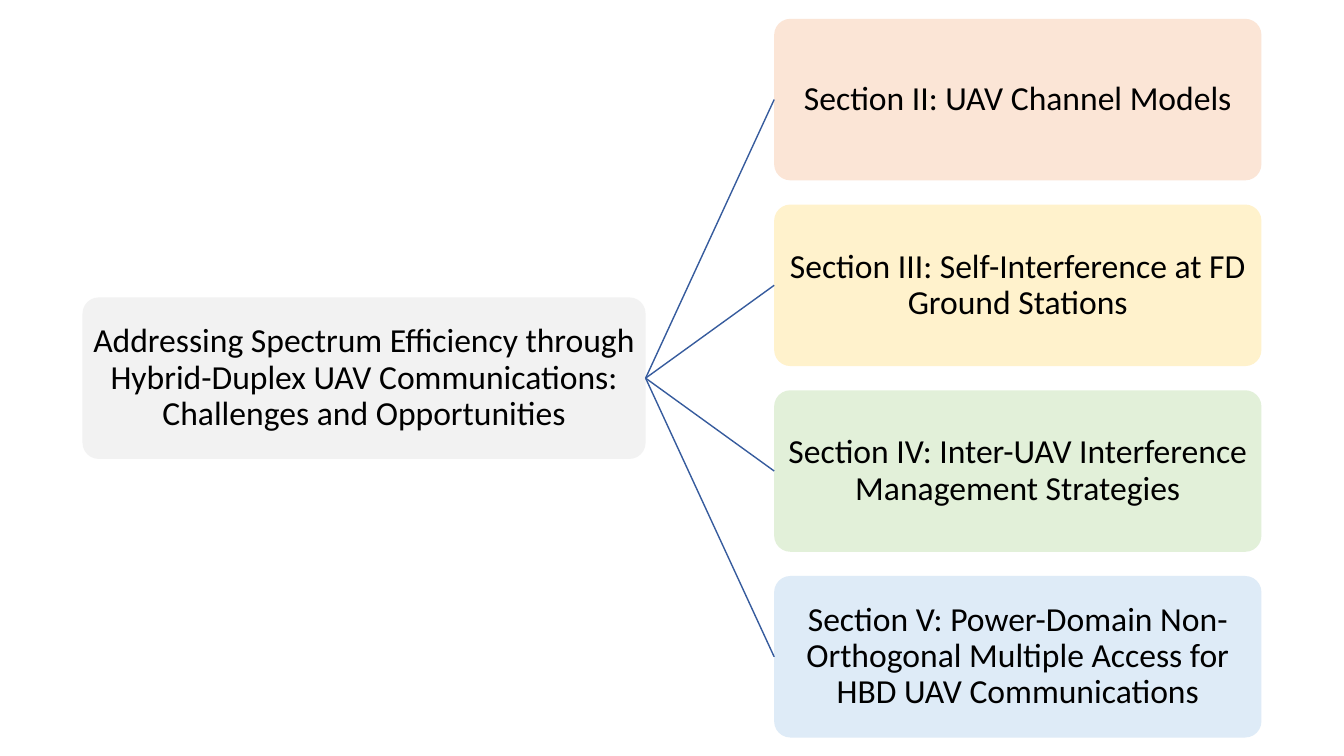
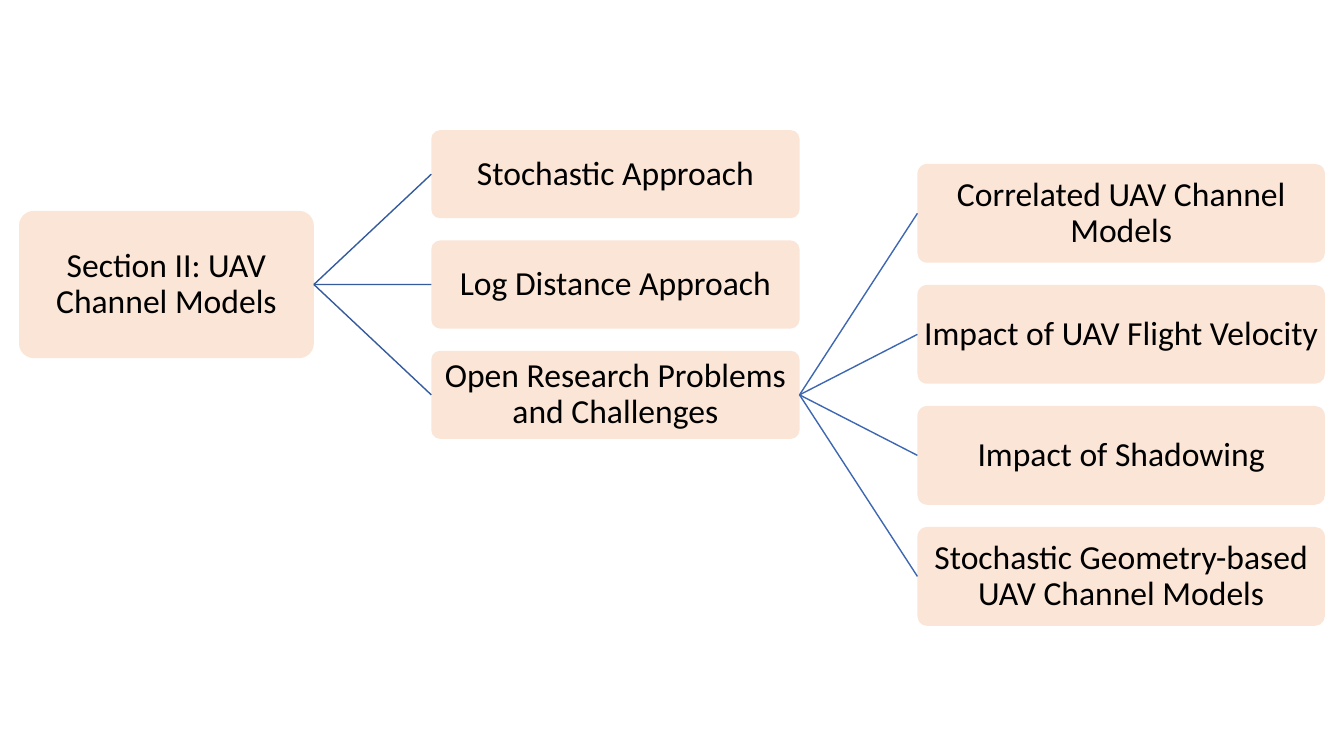
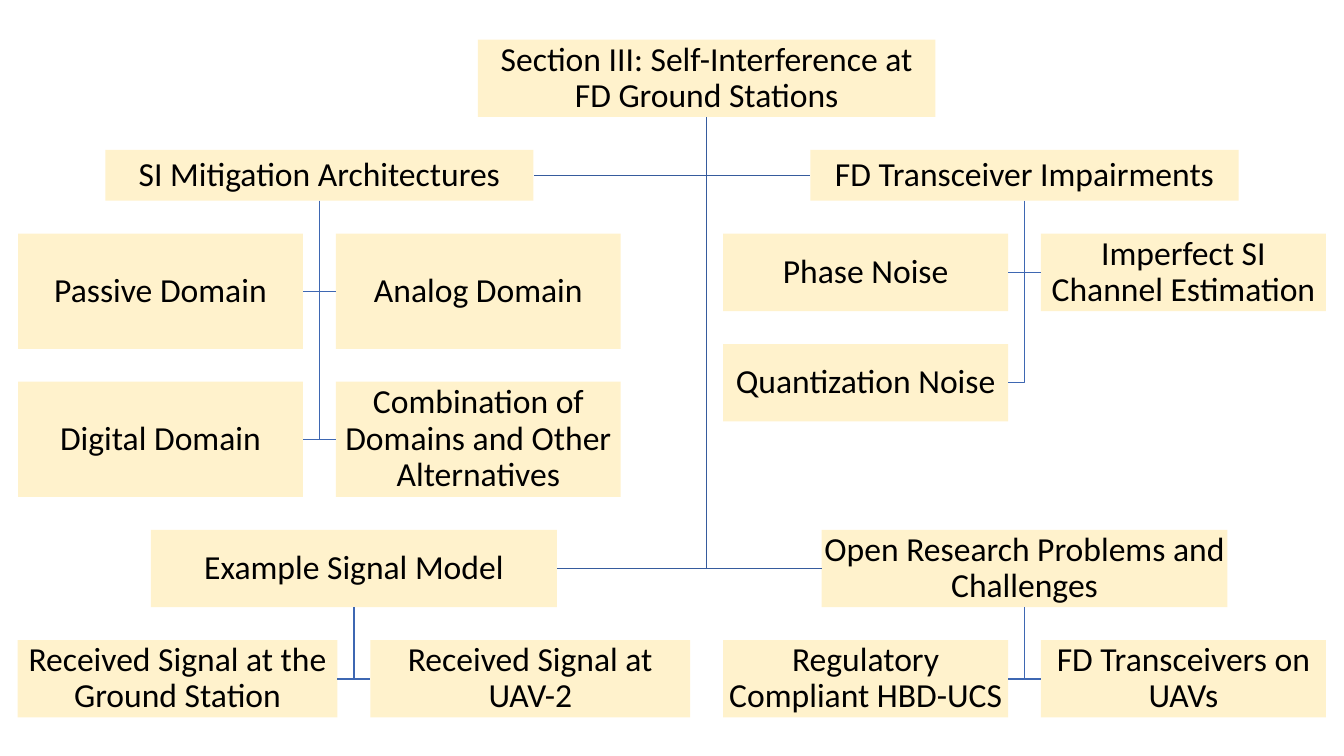
from dataclasses import dataclass

from lxml import etree
from pptx import Presentation
from pptx.dml import color
from pptx.enum import shapes, text
from pptx.oxml import ns
from pptx.shapes.autoshape import Shape
from pptx.slide import Slide
from pptx.util import Cm, Pt

GREY, PEACH, YELLOW, GREEN, BLUE = "F2F2F2", "FBE5D6", "FFF2CC", "E2F0D9", "DEEBF7"
MAIN_LINE, SUB_LINE = "365B9D", "3E67B2"
FONT, FONT_SIZE, INSET = "Calibri", Pt(24), Cm(0.04)
ROUNDED = shapes.MSO_SHAPE.ROUNDED_RECTANGLE
SQUARE = shapes.MSO_SHAPE.RECTANGLE


@dataclass(frozen=True)
class Topic:
    """A label and the fill of its box."""
    label: str
    fill: str


@dataclass(frozen=True)
class Column:
    """One level of a left-to-right tree, in centimetres."""
    left: float
    width: float
    height: float
    gap: float = 0


@dataclass(frozen=True)
class Branch:
    """A heading with children in two columns below it, in centimetres."""
    label: str
    center: float
    top: float
    width: float
    height: float
    child_width: float
    child_height: float
    children: tuple[str, ...]


def rgb(value: str) -> color.RGBColor:
    """Turn a hex string into a colour."""
    return color.RGBColor.from_string(value)


def add_box(slide: Slide, topic: Topic, left: float, top: float, width: float,
            height: float, outline: shapes.MSO_SHAPE) -> Shape:
    """Draw a filled box with a centred label."""
    box = slide.shapes.add_shape(outline, Cm(left), Cm(top), Cm(width), Cm(height))
    if outline == ROUNDED:
        box.adjustments[0] = 0.1
    box.shadow.inherit = False
    box.fill.solid()
    box.fill.fore_color.rgb = rgb(topic.fill)
    box.line.fill.background()
    frame = box.text_frame
    frame.word_wrap = True
    frame.vertical_anchor = text.MSO_ANCHOR.MIDDLE
    frame.margin_left = frame.margin_right = INSET
    frame.margin_top = frame.margin_bottom = INSET
    paragraph = frame.paragraphs[0]
    paragraph.alignment = text.PP_ALIGN.CENTER
    paragraph.line_spacing = 0.9
    run = paragraph.add_run()
    run.text = topic.label
    run.font.name, run.font.size = FONT, FONT_SIZE
    run.font.color.rgb = rgb("000000")
    return box


def add_level(slide: Slide, column: Column, center: float,
              topics: list[Topic]) -> list[Shape]:
    """Stack rounded boxes evenly around a vertical centre."""
    pitch = column.height + column.gap
    top = center - (len(topics) * pitch - column.gap) / 2
    return [add_box(slide, topic, column.left, top + row * pitch,
                    column.width, column.height, ROUNDED)
            for row, topic in enumerate(topics)]


def link(slide: Slide, parent: Shape, children: list[Shape], tint: str) -> None:
    """Join the right side of a parent to the left side of each child."""
    for child in children:
        line = slide.shapes.add_connector(shapes.MSO_CONNECTOR.STRAIGHT, 0, 0, 0, 0)
        line.begin_connect(parent, 3)
        line.end_connect(child, 1)
        line.line.color.rgb = rgb(tint)
        line.line.width = Pt(1)
        etree.SubElement(line._element.spPr, ns.qn("a:effectLst"))


def add_elbow(slide: Slide, parent: Shape, child: Shape, tint: str) -> None:
    """Run a line down from a parent, then sideways to the child's near edge."""
    stem = parent.left + parent.width // 2
    level = child.top + child.height // 2
    near = child.left if child.left > stem else child.left + child.width
    builder = slide.shapes.build_freeform(stem, parent.top + parent.height)
    builder.add_line_segments([(stem, level), (near, level)], close=False)
    elbow = builder.convert_to_shape()
    elbow.shadow.inherit = False
    elbow.fill.background()
    elbow.line.color.rgb = rgb(tint)
    elbow.line.width = Pt(1)


def add_branch(slide: Slide, branch: Branch, gap: float) -> Shape:
    """Draw a branch with its children and return the heading box."""
    heading = add_box(slide, Topic(branch.label, YELLOW), branch.center - branch.width / 2,
                      branch.top, branch.width, branch.height, SQUARE)
    lefts = (branch.center - gap / 2 - branch.child_width, branch.center + gap / 2)
    first_row = branch.top + branch.height + gap
    for index, label in enumerate(branch.children):
        row, side = divmod(index, 2)
        child = add_box(slide, Topic(label, YELLOW), lefts[side],
                        first_row + row * (branch.child_height + gap),
                        branch.child_width, branch.child_height, SQUARE)
        add_elbow(slide, heading, child, SUB_LINE)
    return heading


def build_overview(slide: Slide) -> None:
    """Show the paper and its four sections."""
    middle = 9.53
    [paper] = add_level(slide, Column(2.08, 14.19, 4.07), middle, [
        Topic("Addressing Spectrum Efficiency through Hybrid-Duplex UAV "
              "Communications: Challenges and Opportunities", GREY)])
    sections = add_level(slide, Column(19.51, 12.28, 4.07, 0.61), middle, [
        Topic("Section II: UAV Channel Models", PEACH),
        Topic("Section III: Self-Interference at FD Ground Stations", YELLOW),
        Topic("Section IV: Inter-UAV Interference Management Strategies", GREEN),
        Topic("Section V: Power-Domain Non-Orthogonal Multiple Access for "
              "HBD UAV Communications", BLUE)])
    link(slide, paper, sections, MAIN_LINE)


def build_channel_models(slide: Slide) -> None:
    """Show Section II and its open problems."""
    middle = 7.17
    approach = Column(10.87, 9.28, 2.22, 0.56)
    [section] = add_level(slide, Column(0.48, 7.43, 3.71), middle,
                          [Topic("Section II: UAV Channel Models", PEACH)])
    approaches = add_level(slide, approach, middle, [
        Topic(label, PEACH) for label in (
            "Stochastic Approach", "Log Distance Approach",
            "Open Research Problems and Challenges")])
    problems = add_level(
        slide, Column(23.12, 10.27, 2.49, 0.56), middle + approach.height + approach.gap, [
            Topic(label, PEACH) for label in (
                "Correlated UAV Channel Models", "Impact of UAV Flight Velocity",
                "Impact of Shadowing", "Stochastic Geometry-based UAV Channel Models")])
    link(slide, section, approaches, MAIN_LINE)
    link(slide, approaches[-1], problems, SUB_LINE)


def build_self_interference(slide: Slide) -> None:
    """Show Section III and its four branches."""
    gap, two_lines, one_line, tall = 0.83, 1.95, 1.28, 2.9
    section_top, section_width, section_center = 1, 11.53, 17.81
    left_center, signal_center, right_center = 8.05, 8.92, 25.82
    upper = section_top + two_lines + gap
    lower = upper + one_line + 2 * tall + 3 * gap
    branches = (
        Branch("SI Mitigation Architectures", left_center, upper, 10.79, one_line, 7.18, tall,
               ("Passive Domain", "Analog Domain", "Digital Domain",
                "Combination of Domains and Other Alternatives")),
        Branch("FD Transceiver Impairments", right_center, upper, 10.79, one_line,
               7.18, two_lines,
               ("Phase Noise", "Imperfect SI Channel Estimation", "Quantization Noise")),
        Branch("Example Signal Model", signal_center, lower, 10.23, two_lines, 8.06, two_lines,
               ("Received Signal at the Ground Station", "Received Signal at UAV-2")),
        Branch("Open Research Problems and Challenges", right_center, lower, 10.23, two_lines,
               7.18, two_lines,
               ("Regulatory Compliant HBD-UCS", "FD Transceivers on UAVs")),
    )
    section = add_box(
        slide, Topic("Section III: Self-Interference at FD Ground Stations", YELLOW),
        section_center - section_width / 2, section_top, section_width, two_lines, SQUARE)
    for branch in branches:
        add_elbow(slide, section, add_branch(slide, branch, gap), MAIN_LINE)


def main() -> None:
    """Build the deck and save it."""
    deck = Presentation()
    deck.slide_width, deck.slide_height = Cm(33.87), Cm(19.05)
    for build in (build_overview, build_channel_models, build_self_interference):
        build(deck.slides.add_slide(deck.slide_layouts[6]))
    deck.save("out.pptx")


main()
